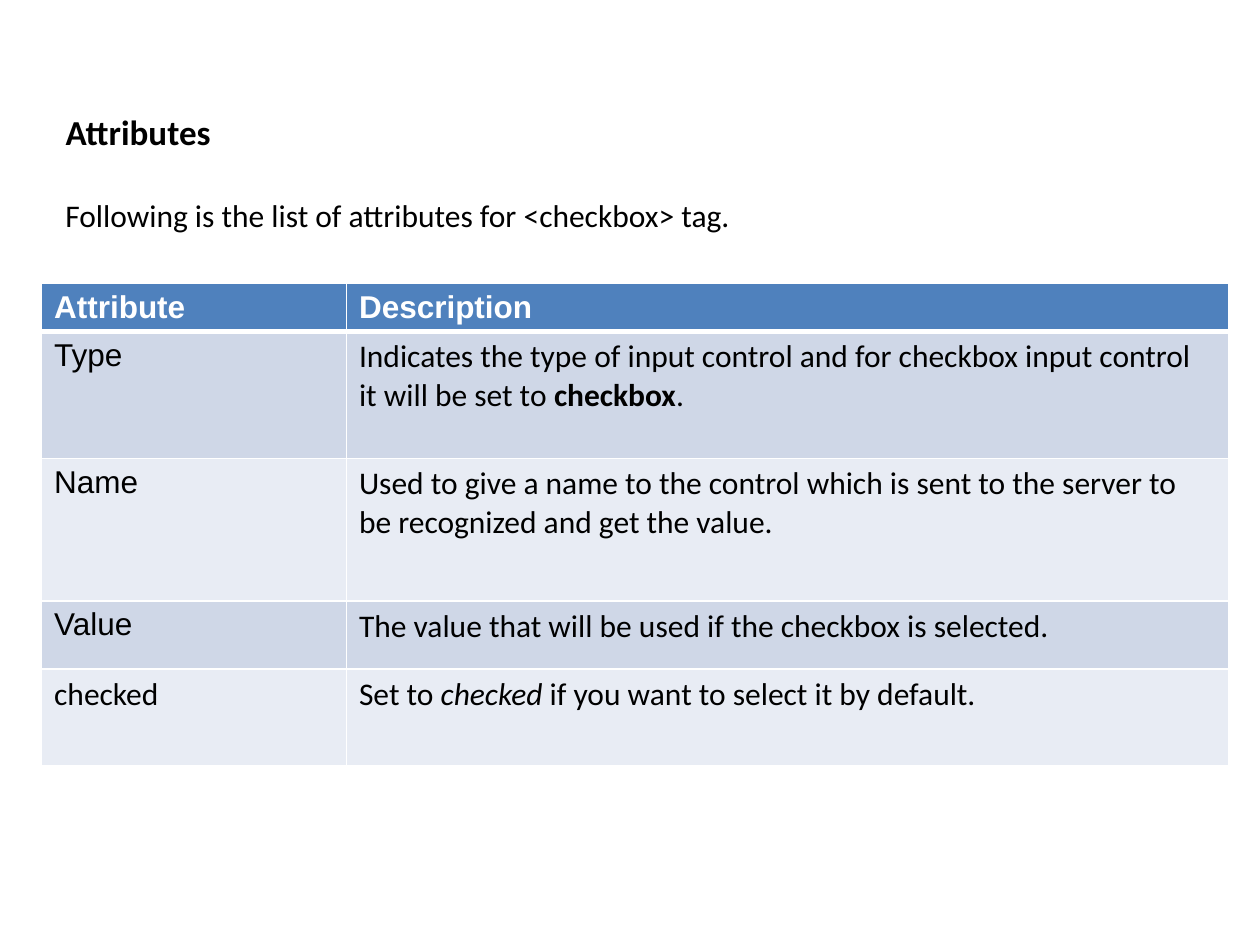
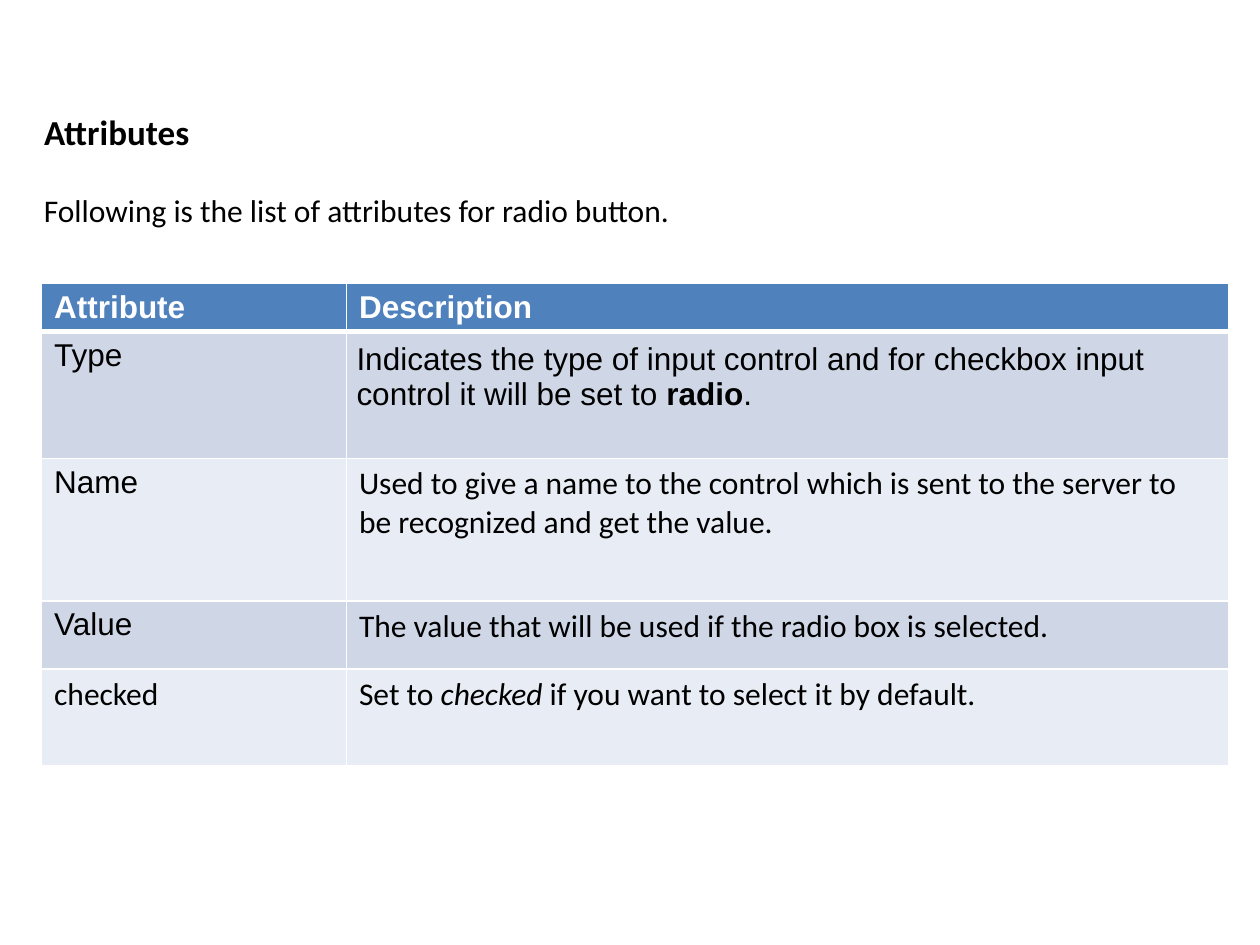
from lxml.etree import SubElement
from pptx import Presentation
from pptx.dml.color import RGBColor
from pptx.enum.text import MSO_ANCHOR, MSO_AUTO_SIZE, PP_ALIGN
from pptx.oxml.ns import qn
from pptx.util import Inches, Pt

BLACK = RGBColor(0x00, 0x00, 0x00)
WHITE = RGBColor(0xFF, 0xFF, 0xFF)
HEADER_BLUE = RGBColor(0x4F, 0x81, 0xBD)
BAND_COLORS = (RGBColor(0xCF, 0xD7, 0xE7), RGBColor(0xE8, 0xEC, 0xF4))

HEADING_FONT, TABLE_FONT = "Calibri", "Arial"
TITLE_SIZE, BODY_SIZE = 20, 18
TITLE_ONLY = 5

TITLE_TOP, TITLE_HEIGHT, INTRO_HEIGHT = 0.83, 0.44, 0.4
TABLE_LEFT, TABLE_TOP = 0.33, 2.25
COLUMN_WIDTHS = (2.42, 7)
ROW_HEIGHTS = (0.36, 1.01, 1.13, 0.54, 0.77)
THIN_RULE, HEADER_RULE = 1, 3
EVEN_MARGIN = 0.08

PLAIN, BOLD, ITALIC = "plain", "bold", "italic"
HEADER = ("Attribute", "Description")
NAME_TEXT = ("Used to give a name to the control which is sent to the server "
             "to be recognized and get the value.")
CHECKED_RUNS = (("Set to ", PLAIN), ("checked", ITALIC),
                (" if you want to select it by default.", PLAIN))


def write_runs(paragraph, runs, font_name, size, color):
    """Fill a paragraph with (text, style) pairs."""
    for text, style in runs:
        run = paragraph.add_run()
        run.text = text
        font = run.font
        font.name, font.size, font.color.rgb = font_name, Pt(size), color
        font.bold = style == BOLD
        font.italic = style == ITALIC


def prepare_frame(text_frame):
    text_frame.word_wrap = True
    text_frame.auto_size = MSO_AUTO_SIZE.NONE
    text_frame.vertical_anchor = MSO_ANCHOR.TOP
    paragraph = text_frame.paragraphs[0]
    paragraph.alignment = PP_ALIGN.LEFT
    return paragraph


def add_title(slide, text, left, width):
    title = slide.shapes.title
    title.left, title.top = Inches(left), Inches(TITLE_TOP)
    title.width, title.height = Inches(width), Inches(TITLE_HEIGHT)
    paragraph = prepare_frame(title.text_frame)
    write_runs(paragraph, [(text, BOLD)], HEADING_FONT, TITLE_SIZE, BLACK)


def add_intro(slide, text, left, top, width):
    box = slide.shapes.add_textbox(Inches(left), Inches(top),
                                   Inches(width), Inches(INTRO_HEIGHT))
    paragraph = prepare_frame(box.text_frame)
    write_runs(paragraph, [(text, PLAIN)], HEADING_FONT, BODY_SIZE, BLACK)


def set_borders(cell, top, bottom):
    """Draw white rules round a cell; top and bottom are widths in points."""
    properties = cell._tc.get_or_add_tcPr()
    widths = {"a:lnL": THIN_RULE, "a:lnR": THIN_RULE,
              "a:lnT": top, "a:lnB": bottom}
    for tag, width in widths.items():
        line = SubElement(properties, qn(tag), w=str(Pt(width)))
        fill = SubElement(line, qn("a:solidFill"))
        SubElement(fill, qn("a:srgbClr"), val=str(WHITE))


def fill_cell(cell, runs, font_name, row_index):
    is_header = row_index == 0
    set_borders(cell,
                top=HEADER_RULE if row_index == 1 else THIN_RULE,
                bottom=HEADER_RULE if is_header else THIN_RULE)
    cell.fill.solid()
    cell.fill.fore_color.rgb = (
        HEADER_BLUE if is_header else BAND_COLORS[(row_index - 1) % 2])
    write_runs(cell.text_frame.paragraphs[0], runs, font_name, BODY_SIZE,
               WHITE if is_header else BLACK)


def add_attribute_table(slide, type_name, control, type_font):
    type_runs = (("Indicates the type of input control and for checkbox input "
                  "control it will be set to ", PLAIN),
                 (type_name, BOLD), (".", PLAIN))
    value_text = f"The value that will be used if the {control} is selected."
    rows = (
        [([(label, BOLD)], TABLE_FONT) for label in HEADER],
        [([("Type", PLAIN)], TABLE_FONT), (type_runs, type_font)],
        [([("Name", PLAIN)], TABLE_FONT), ([(NAME_TEXT, PLAIN)], HEADING_FONT)],
        [([("Value", PLAIN)], TABLE_FONT), ([(value_text, PLAIN)], HEADING_FONT)],
        [([("checked", PLAIN)], HEADING_FONT), (CHECKED_RUNS, HEADING_FONT)],
    )
    frame = slide.shapes.add_table(
        len(rows), len(HEADER), Inches(TABLE_LEFT), Inches(TABLE_TOP),
        Inches(sum(COLUMN_WIDTHS)), Inches(sum(ROW_HEIGHTS)))
    table = frame.table
    for column, width in zip(table.columns, COLUMN_WIDTHS):
        column.width = Inches(width)
    for row, height in zip(table.rows, ROW_HEIGHTS):
        row.height = Inches(height)
    for row_index, row in enumerate(rows):
        for column_index, (runs, font_name) in enumerate(row):
            fill_cell(table.cell(row_index, column_index), runs, font_name,
                      row_index)
    return table


def set_even_margins(cell):
    margin = Inches(EVEN_MARGIN)
    cell.margin_left = cell.margin_right = margin
    cell.margin_top = cell.margin_bottom = margin


def add_attribute_slide(presentation, left, width, subject, intro_top,
                        type_name, control, type_font):
    slide = presentation.slides.add_slide(
        presentation.slide_layouts[TITLE_ONLY])
    add_title(slide, "Attributes", left, width)
    add_intro(slide, f"Following is the list of attributes for {subject}.",
              left, intro_top, width)
    return add_attribute_table(slide, type_name, control, type_font)


def main():
    presentation = Presentation()
    presentation.slide_width = Inches(10)
    presentation.slide_height = Inches(7.5)

    add_attribute_slide(presentation, left=0.42, width=9,
                        subject="<checkbox> tag", intro_top=1.51,
                        type_name="checkbox", control="checkbox",
                        type_font=HEADING_FONT)
    radio_table = add_attribute_slide(presentation, left=0.25, width=9.5,
                                      subject="radio button", intro_top=1.47,
                                      type_name="radio", control="radio box",
                                      type_font=TABLE_FONT)
    set_even_margins(radio_table.cell(1, 1))

    presentation.save("out.pptx")


if __name__ == "__main__":
    main()
